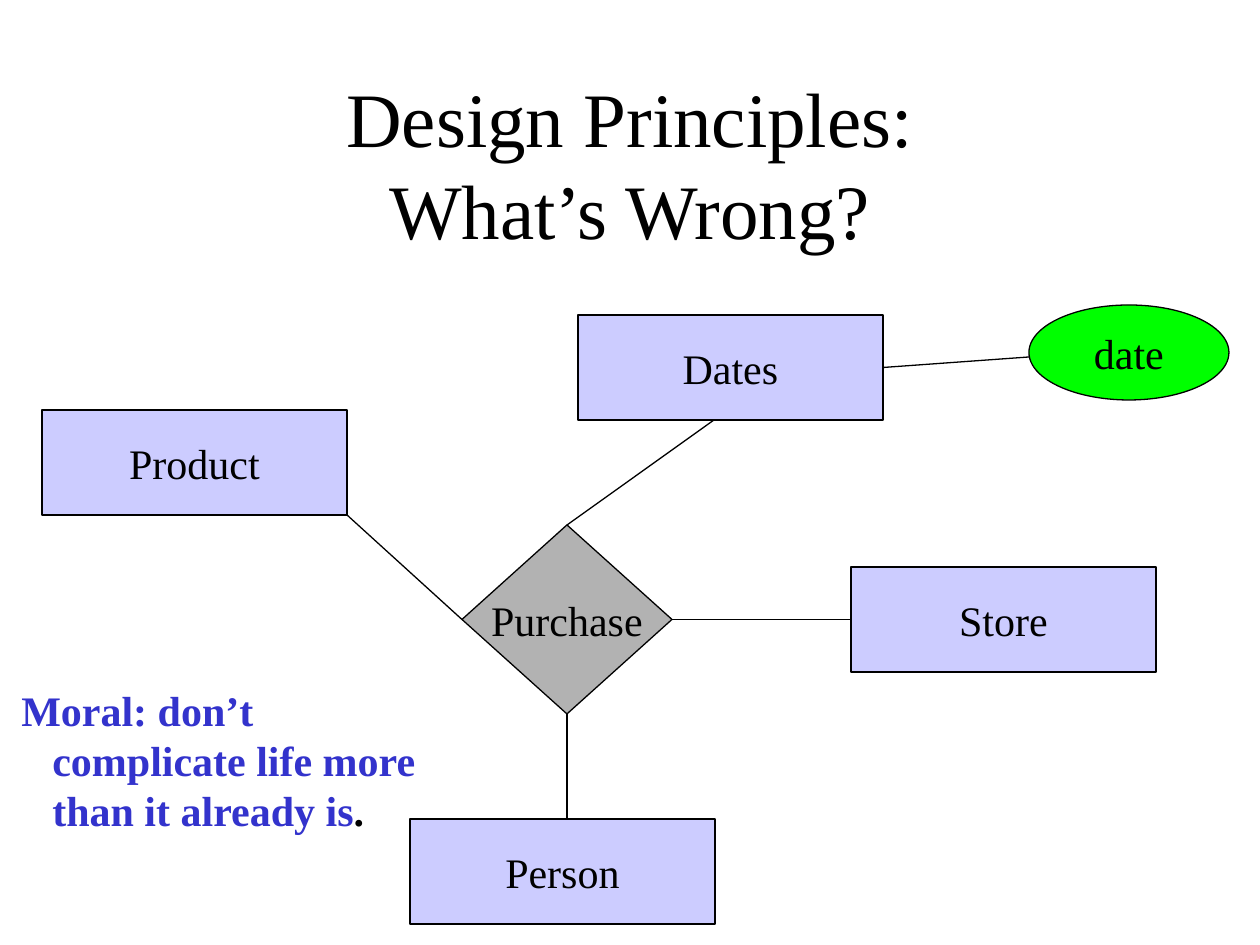
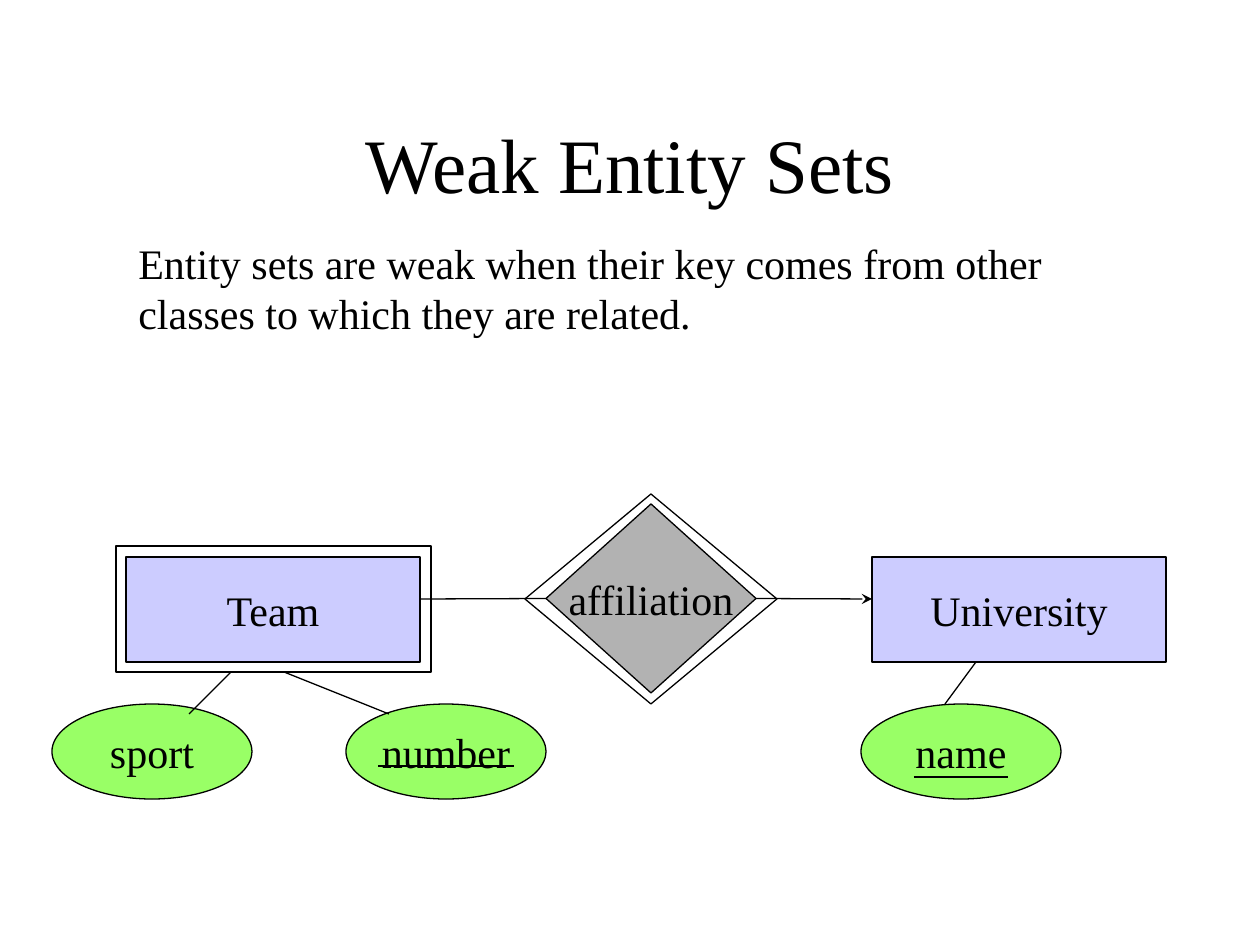
from dataclasses import dataclass
from typing import Any

from lxml import etree
from pptx import Presentation
from pptx import util as u
from pptx.dml.color import RGBColor
from pptx.enum import shapes, text
from pptx.oxml.ns import qn

SCALE = u.Inches(1) / 126
FONT = "Times New Roman"
BLACK, MORAL_BLUE = "000000", "3333CC"
ENTITY_FILL, RELATION_FILL = "CCCCFF", "B2B2B2"
BRIGHT_GREEN, SOFT_GREEN = "00FF00", "99FF66"
RECTANGLE = shapes.MSO_SHAPE.RECTANGLE
DIAMOND = shapes.MSO_SHAPE.DIAMOND
OVAL = shapes.MSO_SHAPE.OVAL
TOP, LEFT, BOTTOM, RIGHT = range(4)
TITLE_BOX = (94, 84, 1072, 158)
DIAMOND_SIZE = (210, 189)
ATTRIBUTE_SIZE = (200, 95)


def px(length):
    """Turn px into EMU."""
    return u.Emu(round(length * SCALE))


def colour(value):
    """Turn a hex string into a colour."""
    return RGBColor.from_string(value)


def set_values(target, values):
    """Set each named attribute of the target."""
    for name, value in values.items():
        setattr(target, name, value)


def format_runs(paragraph, size=24, fill=BLACK, bold=False):
    """Apply the shared font to every run of a paragraph."""
    for run in paragraph.runs:
        set_values(run.font, {"name": FONT, "size": u.Pt(size), "bold": bold})
        run.font.color.rgb = colour(fill)


def add_title(slide, words):
    """Fill and place the title placeholder."""
    title = slide.shapes.title
    left, top, width, height = map(px, TITLE_BOX)
    set_values(title, {"left": left, "top": top, "width": width, "height": height})
    title.text_frame.text = words
    set_values(title.text_frame, {
        "vertical_anchor": text.MSO_ANCHOR.MIDDLE,
        "auto_size": text.MSO_AUTO_SIZE.NONE,
    })
    paragraph = title.text_frame.paragraphs[0]
    paragraph.alignment = text.PP_ALIGN.CENTER
    format_runs(paragraph, 44)


def add_note(slide, box, words, **font):
    """Add a wrapped text box and return its paragraph."""
    frame = slide.shapes.add_textbox(*map(px, box)).text_frame
    frame.word_wrap = True
    frame.text = words
    format_runs(frame.paragraphs[0], **font)
    return frame.paragraphs[0]


@dataclass
class Diagram:
    """An entity diagram whose parts are placed from its left top corner."""

    slide: Any
    left: int
    top: int

    def point(self, x, y):
        """Turn a place in the diagram into a place on the slide."""
        return px(self.left + x), px(self.top + y)

    def node(self, kind, place, size, fill=None, label=""):
        """Add an outlined shape with an optional fill and label."""
        shape = self.slide.shapes.add_shape(kind, *self.point(*place), *map(px, size))
        shape.shadow.inherit = False
        shape.line.color.rgb = colour(BLACK)
        shape.line.width = u.Pt(0.75)
        if fill:
            shape.fill.solid()
            shape.fill.fore_color.rgb = colour(fill)
        else:
            shape.fill.background()
        if label:
            frame = shape.text_frame
            frame.text = label
            set_values(frame, {"word_wrap": False, "vertical_anchor": text.MSO_ANCHOR.MIDDLE})
            frame.paragraphs[0].alignment = text.PP_ALIGN.CENTER
            format_runs(frame.paragraphs[0])
        return shape

    def entity(self, label, place, width):
        """Add an entity rectangle."""
        return self.node(RECTANGLE, place, (width, 105), ENTITY_FILL, label)

    def relation(self, label, place):
        """Add a relationship diamond."""
        return self.node(DIAMOND, place, DIAMOND_SIZE, RELATION_FILL, label)

    def attribute(self, label, place, fill):
        """Add an attribute oval."""
        return self.node(OVAL, place, ATTRIBUTE_SIZE, fill, label)

    def link(self, start, end, arrow=False):
        """Join two ends, each a point or a shape with its side."""
        begin_point, end_point = (
            self.point(*stop) if isinstance(stop[0], int) else (0, 0) for stop in (start, end))
        line = self.slide.shapes.add_connector(
            shapes.MSO_CONNECTOR.STRAIGHT, *begin_point, *end_point)
        for stop, connect in ((start, line.begin_connect), (end, line.end_connect)):
            if not isinstance(stop[0], int):
                connect(*stop)
        line.line.color.rgb = colour(BLACK)
        line.line.width = u.Pt(0.75)
        properties = line._element.spPr
        if arrow:
            etree.SubElement(properties.find(qn("a:ln")), qn("a:tailEnd"), type="stealth")
        etree.SubElement(properties, qn("a:effectLst"))


def purchase_diagram(slide, left, top):
    """Draw the purchase relationship and its four entities."""
    diagram = Diagram(slide, left, top)
    purchase = diagram.relation("Purchase", (420, 220))
    places = {"Product": (0, 105), "Person": (368, 514), "Store": (809, 262), "Dates": (536, 10)}
    entities = {label: diagram.entity(label, place, 305) for label, place in places.items()}
    diagram.attribute("date", (987, 0), BRIGHT_GREEN)
    for start, end in (
        ((purchase, RIGHT), (entities["Store"], LEFT)),
        ((purchase, BOTTOM), (525, 514)),
        ((purchase, TOP), (672, 115)),
        ((entities["Dates"], RIGHT), (987, 52)),
        ((305, 210), (purchase, LEFT)),
    ):
        diagram.link(start, end)


def affiliation_diagram(slide, left, top):
    """Draw the weak entity, its double outlines and the attributes."""
    diagram = Diagram(slide, left, top)
    diagram.entity("University", (820, 63), 294)
    diagram.entity("Team", (74, 63), 294)
    affiliation = diagram.relation("affiliation", (494, 10))
    diagram.link((affiliation, LEFT), (368, 105))
    diagram.link((affiliation, RIGHT), (820, 105), arrow=True)
    for label, x in (("number", 294), ("sport", 0), ("name", 809)):
        diagram.attribute(label, (x, 210), SOFT_GREEN)
    diagram.node(RECTANGLE, (64, 52), (315, 126))
    diagram.node(DIAMOND, (473, 0), (252, 210))
    key_lines = (((326, 272), (462, 272)), ((862, 283), (956, 283)))
    attribute_lines = (
        ((179, 178), (137, 220)), ((232, 178), (337, 220)), ((924, 168), (893, 210)))
    for start, end in key_lines + attribute_lines:
        diagram.link(start, end)


def design_slide(slide):
    """Build the design principles slide."""
    add_title(slide, "Design Principles:\vWhat’s Wrong?")
    purchase_diagram(slide, 42, 305)
    moral = add_note(
        slide, (9, 678, 440, 164),
        "Moral: don’t\vcomplicate life more\vthan it already is",
        fill=MORAL_BLUE, bold=True)
    properties = moral._p.get_or_add_pPr()
    properties.set("marL", str(px(31)))
    properties.set("indent", str(-px(31)))
    stop = moral.add_run()
    stop.text = "."
    set_values(stop.font, {"name": FONT, "size": u.Pt(24), "bold": True})
    stop.font.color.rgb = colour(BLACK)


def weak_entity_slide(slide):
    """Build the weak entity sets slide."""
    add_title(slide, "Weak Entity Sets")
    add_note(
        slide, (126, 231, 945, 113),
        "Entity sets are weak when their key comes from other "
        "classes to which they are related.")
    affiliation_diagram(slide, 52, 494)


def main():
    """Build and save the presentation."""
    presentation = Presentation()
    set_values(presentation, {"slide_width": px(1260), "slide_height": px(945)})
    for build in (design_slide, weak_entity_slide):
        build(presentation.slides.add_slide(presentation.slide_layouts[5]))
    presentation.save("out.pptx")


if __name__ == "__main__":
    main()
